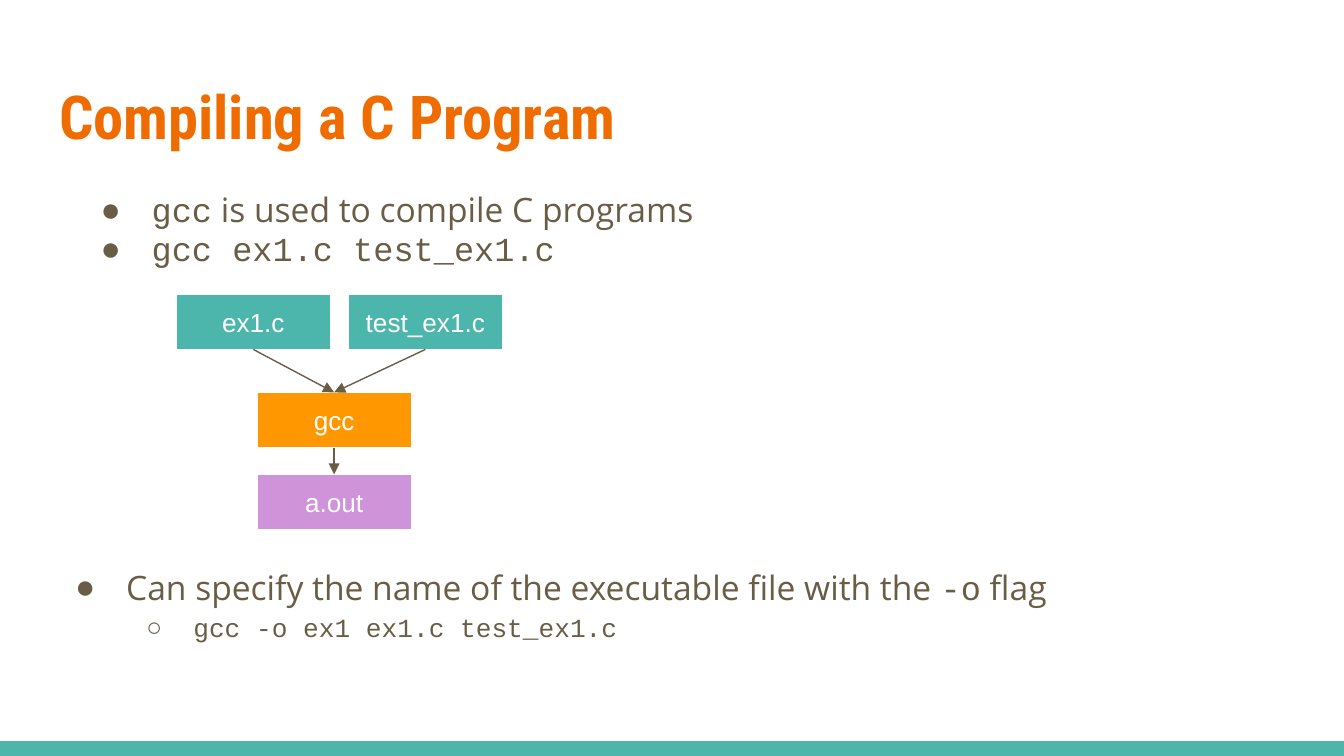
from lxml import etree
from pptx import Presentation
from pptx import util as u
from pptx.dml.color import RGBColor
from pptx.enum import shapes, text
from pptx.oxml import ns

WIDTH = 10
HEIGHT = WIDTH * 9 / 16
TEAL, ORANGE, AMBER, PURPLE = "4DB6AC", "EF6C00", "FF9800", "CE93D8"
BROWN, WHITE = "695D46", "FFFFFF"
SANS, MONO, PLAIN = "Open Sans", "Courier New", "Arial"
MARGIN, TEXT_W = 0.34, 9.32
BOX_W, BOX_H = 1.15, 0.41
COL_LEFT, COL_STEP = 1.31, 1.28
ROW_TOPS = (2.19, 2.92, 3.53)


def color(value):
    """Turn a hex string into a colour."""
    return RGBColor.from_string(value)


def place(sp, x, y, w, h):
    """Move and size a shape in inches."""
    sp.left, sp.top, sp.width, sp.height = map(u.Inches, (x, y, w, h))


def add_xml(parent, tag, **attrs):
    """Append a DrawingML element with attributes."""
    return etree.SubElement(parent, ns.qn(tag), attrs)


def set_frame(tf, anchor):
    """Give a text frame even insets, wrapping and an anchor."""
    tf.margin_left = tf.margin_right = u.Inches(0.1)
    tf.margin_top = tf.margin_bottom = u.Inches(0.1)
    tf.word_wrap = True
    tf.auto_size = text.MSO_AUTO_SIZE.NONE
    tf.vertical_anchor = anchor


def add_run(p, content, font=SANS, size=18, fill=BROWN, bold=False):
    """Add formatted text to a paragraph."""
    r = p.add_run()
    r.text = content
    r.font.name, r.font.size, r.font.bold = font, u.Pt(size), bold
    r.font.color.rgb = color(fill)


def set_bullet(p, level, spacing):
    """Indent a paragraph and give it the bullet of its level."""
    char, left, hanging = (("●", 0.5, 0.38), ("○", 1, 0.35))[level]
    p.level, p.line_spacing = level, spacing
    pPr = p._p.get_or_add_pPr()
    pPr.set("marL", str(u.Inches(left)))
    pPr.set("indent", str(-u.Inches(hanging)))
    add_xml(add_xml(pPr, "a:buClr"), "a:srgbClr", val=BROWN)
    add_xml(pPr, "a:buFont", typeface=PLAIN)
    add_xml(pPr, "a:buChar", char=char)


def add_title(s, content):
    """Fill the title placeholder."""
    sp = s.shapes.title
    place(sp, MARGIN, 0.49, TEXT_W, 0.77)
    set_frame(sp.text_frame, text.MSO_ANCHOR.TOP)
    p = sp.text_frame.paragraphs[0]
    p.alignment = text.PP_ALIGN.LEFT
    add_run(p, content, font="Roboto Condensed", size=32.4, fill=ORANGE, bold=True)


def add_bullets(s, x, y, h, items, spacing):
    """Add a bulleted list of (level, size, runs) items."""
    sp = s.shapes.add_textbox(0, 0, 0, 0)
    place(sp, x, y, TEXT_W, h)
    tf = sp.text_frame
    set_frame(tf, text.MSO_ANCHOR.TOP)
    for i, (level, size, runs) in enumerate(items):
        p = tf.add_paragraph() if i else tf.paragraphs[0]
        set_bullet(p, level, spacing)
        for content, font in runs:
            add_run(p, content, font=font, size=size)


def add_rect(s, x, y, w, h, fill):
    """Add a plain filled rectangle."""
    sp = s.shapes.add_shape(shapes.MSO_SHAPE.RECTANGLE, 0, 0, 0, 0)
    place(sp, x, y, w, h)
    sp.shadow.inherit = False
    sp.fill.solid()
    sp.fill.fore_color.rgb = color(fill)
    sp.line.fill.background()
    return sp


def add_box(s, label, col, row, fill):
    """Add a labelled box at a diagram column and row."""
    sp = add_rect(s, COL_LEFT + col * COL_STEP, ROW_TOPS[row], BOX_W, BOX_H, fill)
    sp.line.color.rgb = color(WHITE)
    sp.line.width = u.Pt(0.75)
    set_frame(sp.text_frame, text.MSO_ANCHOR.MIDDLE)
    p = sp.text_frame.paragraphs[0]
    p.alignment = text.PP_ALIGN.CENTER
    add_run(p, label, font=PLAIN, size=14, fill=WHITE)
    return sp


def add_arrow(s, source, target):
    """Connect the bottom of one box to the top of another."""
    c = s.shapes.add_connector(shapes.MSO_CONNECTOR.STRAIGHT, 0, 0, 0, 0)
    c.begin_connect(source, 2)
    c.end_connect(target, 0)
    c.line.color.rgb = color(BROWN)
    c.line.width = u.Pt(0.75)
    add_xml(c.line._get_or_add_ln(), "a:tailEnd", type="triangle")
    add_xml(c._element.spPr, "a:effectLst")


def add_diagram(s):
    """Draw the flow from sources through the compiler to the program."""
    first = add_box(s, "ex1.c", 0, 0, TEAL)
    second = add_box(s, "test_ex1.c", 1, 0, TEAL)
    compiler = add_box(s, "gcc", 0.47, 1, AMBER)
    program = add_box(s, "a.out", 0.47, 2, PURPLE)
    for source, target in ((first, compiler), (second, compiler), (compiler, program)):
        add_arrow(s, source, target)


def main():
    """Build and save the slide."""
    prs = Presentation()
    prs.slide_width, prs.slide_height = u.Inches(WIDTH), u.Inches(HEIGHT)
    s = prs.slides.add_slide(prs.slide_layouts[5])
    add_rect(s, 0, HEIGHT - 0.11, WIDTH, 0.11, TEAL)
    add_title(s, "Compiling a C Program")
    add_bullets(s, 0.53, 1.33, 2.74, [
        (0, 18, [("gcc", MONO), (" is used to compile C programs", SANS)]),
        (0, 18, [("gcc ex1.c test_ex1.c", MONO)]),
    ], spacing=0.95)
    add_diagram(s)
    add_bullets(s, MARGIN, 4.07, 1.45, [
        (0, 18, [("Can specify the name of the executable file with the ", SANS),
                 ("-o", MONO), (" flag", SANS)]),
        (1, 14, [("gcc -o ex1 ex1.c test_ex1.c", MONO)]),
    ], spacing=1.15)
    prs.save("out.pptx")


if __name__ == "__main__":
    main()
